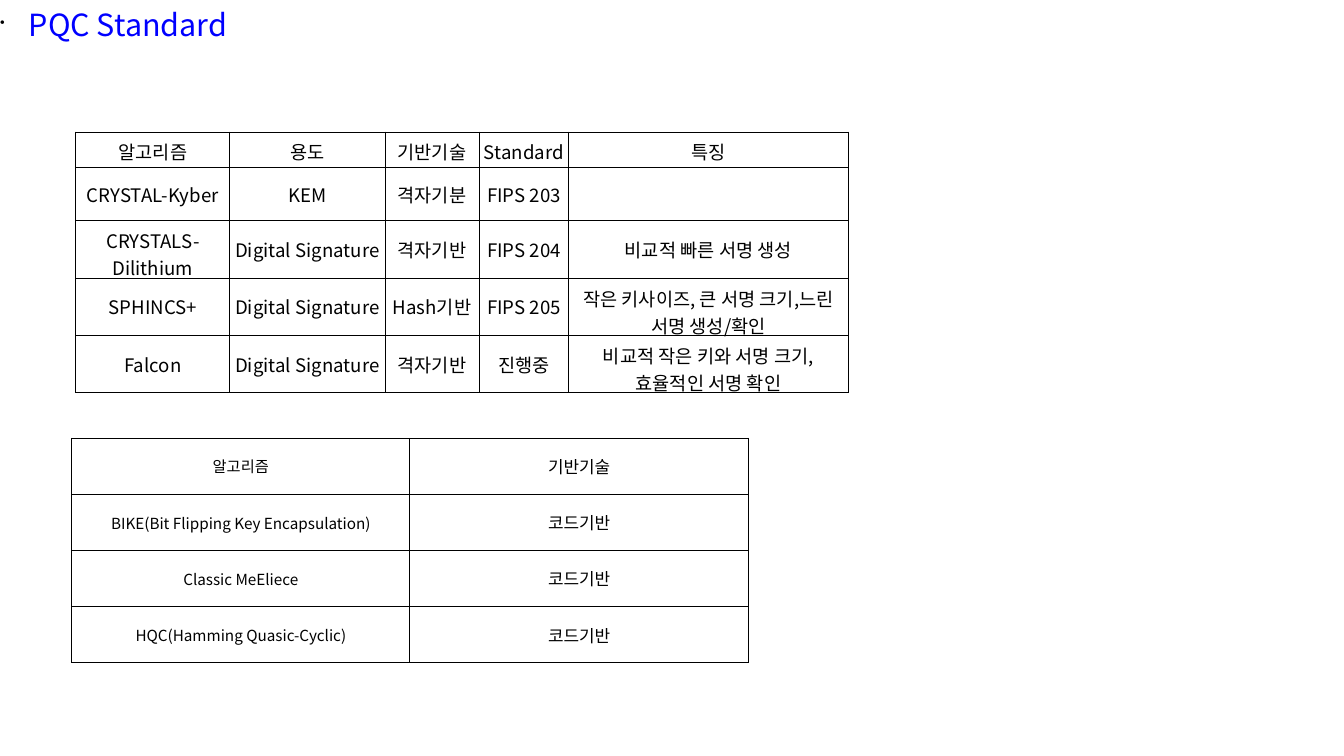
from dataclasses import dataclass
from lxml import etree
from pptx import Presentation
from pptx.dml.color import RGBColor
from pptx.enum import text
from pptx.oxml import ns
from pptx.util import Cm, Pt

HEADING = "PQC Standard"
STANDARDS = dict(
    rows=[
        ("알고리즘", "용도", "기반기술", "Standard", "특징"),
        ("CRYSTAL-Kyber", "KEM", "격자기분", "FIPS 203", ""),
        ("CRYSTALS-Dilithium", "Digital Signature", "격자기반", "FIPS 204", "비교적 빠른 서명 생성"),
        ("SPHINCS+", "Digital Signature", "Hash기반", "FIPS 205",
         "작은 키사이즈, 큰 서명 크기,느린 서명 생성/확인"),
        ("Falcon", "Digital Signature", "격자기반", "진행중",
         "비교적 작은 키와 서명 크기, 효율적인 서명 확인"),
    ],
    left=1.58, top=2.75, widths=(3.21, 3.23, 1.96, 1.87, 5.82),
    heights=(0.73, 1.12, 1.19, 1.19, 1.19), sizes=(11,) * 5, spacing=2.8,
)
CANDIDATES = dict(
    rows=[
        ("알고리즘", "기반기술"),
        ("BIKE(Bit Flipping Key Encapsulation)", "코드기반"),
        ("Classic MeEliece", "코드기반"),
        ("HQC(Hamming Quasic-Cyclic)", "코드기반"),
    ],
    left=1.49, top=9.13, widths=(7.05,) * 2,
    heights=(1.17,) * 4, sizes=(9, 10), spacing=0,
)


@dataclass(frozen=True)
class Theme:
    font: str = "Noto Sans CJK KR"
    ink: str = "000000"
    heading: str = "0000FF"
    heading_size: int = 18
    border: float = 0.57


THEME = Theme()


def add_xml(parent, tag, **attributes):
    return etree.SubElement(parent, ns.qn(tag), attributes)


def add_run(paragraph, words, size, color):
    run = paragraph.add_run()
    run.text = words
    run.font.size = Pt(size)
    run.font.name = THEME.font
    run.font.color.rgb = RGBColor.from_string(color)
    add_xml(run.font._element, "a:ea", typeface=THEME.font)


def add_heading(slide):
    heading = slide.shapes.title
    heading.left, heading.top, heading.width, heading.height = 0, 0, Cm(28), Cm(1)
    frame = heading.text_frame
    frame.margin_left = frame.margin_right = frame.margin_top = frame.margin_bottom = 0
    frame.vertical_anchor = text.MSO_ANCHOR.MIDDLE
    frame.auto_size = text.MSO_AUTO_SIZE.SHAPE_TO_FIT_TEXT
    line = frame.paragraphs[0]
    line.alignment = text.PP_ALIGN.LEFT
    add_run(line, HEADING, THEME.heading_size, THEME.heading)
    layout = line._p.get_or_add_pPr()
    layout.set("marL", str(Cm(0.6)))
    layout.set("indent", str(Cm(-0.6)))
    add_xml(add_xml(layout, "a:buClr"), "a:srgbClr", val=THEME.ink)
    add_xml(layout, "a:buSzPct", val="45000")
    add_xml(layout, "a:buChar", char="•")


def format_cell(cell, words, size, spacing):
    cell.margin_left = cell.margin_right = Cm(0.1)
    cell.margin_top = cell.margin_bottom = Cm(0.13)
    cell.vertical_anchor = text.MSO_ANCHOR.MIDDLE
    for side in ("a:lnL", "a:lnR", "a:lnT", "a:lnB"):
        edge = add_xml(cell._tc.get_or_add_tcPr(), side, w=str(Pt(THEME.border)))
        add_xml(add_xml(edge, "a:solidFill"), "a:srgbClr", val=THEME.ink)
    cell.fill.background()
    line = cell.text_frame.paragraphs[0]
    line.alignment = text.PP_ALIGN.CENTER
    line.space_before = line.space_after = Pt(spacing)
    if words:
        add_run(line, words, size, THEME.ink)
    else:
        line.font.size = Pt(size)


def add_grid(slide, rows, left, top, widths, heights, sizes, spacing):
    grid = slide.shapes.add_table(
        len(rows), len(widths), Cm(left), Cm(top), Cm(sum(widths)), Cm(sum(heights))
    ).table
    grid.first_row = grid.horz_banding = False
    for column, width in zip(grid.columns, widths):
        column.width = Cm(width)
    for row, height, entries in zip(grid.rows, heights, rows):
        row.height = Cm(height)
        for cell, words, size in zip(row.cells, entries, sizes):
            format_cell(cell, words, size, spacing)


def main():
    """Build the slide with the PQC standards and candidates."""
    deck = Presentation()
    deck.slide_width, deck.slide_height = Cm(28), Cm(15.75)
    slide = deck.slides.add_slide(deck.slide_layouts[5])
    add_heading(slide)
    for table in (STANDARDS, CANDIDATES):
        add_grid(slide, **table)
    deck.save("out.pptx")


if __name__ == "__main__":
    main()
